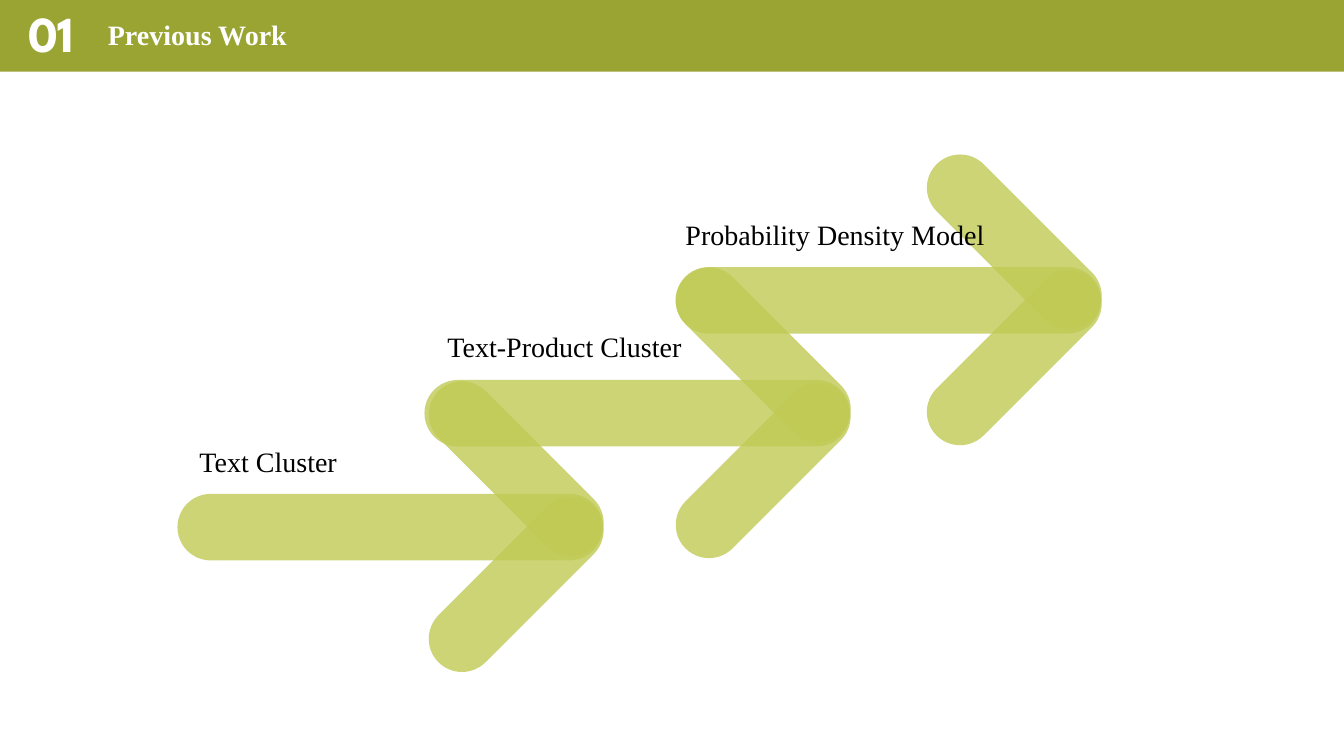
from dataclasses import dataclass

from lxml import etree
from pptx import Presentation
from pptx import util as u
from pptx.dml.color import RGBColor
from pptx.enum import shapes, text
from pptx.oxml import ns

OLIVE = RGBColor(0x9A, 0xA4, 0x33)
LIME = RGBColor(0xC0, 0xCA, 0x54)
WHITE = RGBColor(0xFF, 0xFF, 0xFF)
BLACK = RGBColor(0, 0, 0)
SERIF = "Times New Roman"
THICK = 0.66


@dataclass
class Box:
    left: float
    top: float
    width: float
    height: float

    def args(self) -> tuple:
        return tuple(u.Inches(v) for v in
                     (self.left, self.top, self.width, self.height))


@dataclass
class Step:
    label: str
    left: float
    top: float
    box: Box


STEPS = [
    Step("Text Cluster", 1.76, 4.9, Box(1.88, 4.26, 2.35, 0.53)),
    Step("Text-Product Cluster", 4.21, 3.77, Box(4.34, 3.12, 4.23, 0.53)),
    Step("Probability Density Model", 6.7, 2.65, Box(6.7, 2.01, 3.92, 0.53)),
]


def paint(shape, color: RGBColor) -> None:
    shape.shadow.inherit = False
    shape.fill.solid()
    shape.fill.fore_color.rgb = color
    shape.line.fill.background()


def write(shape, words: str, size: int, color: RGBColor, face: str = SERIF,
          bold: bool = False, space: float = 0.9,
          anchor=text.MSO_ANCHOR.TOP) -> None:
    frame = shape.text_frame
    frame.text = words
    frame.word_wrap = True
    frame.auto_size = text.MSO_AUTO_SIZE.NONE
    frame.vertical_anchor = anchor
    line = frame.paragraphs[0]
    line.alignment = text.PP_ALIGN.LEFT
    line.line_spacing = space
    line.space_before = u.Pt(0)
    font = line.runs[0].font
    font.name, font.size, font.bold = face, u.Pt(size), bold
    font.color.rgb = color


def draw_bar(group, box: Box, turn: int = 0) -> None:
    bar = group.shapes.add_shape(
        shapes.MSO_SHAPE.ROUNDED_RECTANGLE, *box.args())
    bar.adjustments[0] = 0.5
    bar.rotation = turn
    paint(bar, LIME)
    tint = bar._element.spPr.find(".//" + ns.qn("a:srgbClr"))
    etree.SubElement(tint, ns.qn("a:alpha"), val="80000")


def draw_step(slide, step: Step) -> None:
    group = slide.shapes.add_group_shape()
    draw_bar(group, Box(step.left, step.top, 4.22, THICK))
    for shift, turn in ((-0.58, 45), (0.57, 315)):
        draw_bar(group, Box(step.left + 2.27, step.top + shift, 2.18, THICK),
                 turn)


def draw_head(slide) -> None:
    band = slide.shapes.add_shape(
        shapes.MSO_SHAPE.RECTANGLE, *Box(0, 0, 13.33, 0.71).args())
    paint(band, OLIVE)
    slide.shapes._spTree.insert(2, band._element)
    title = slide.shapes.title
    title.left, title.top, title.width, title.height = Box(
        0.97, 0.16, 4.18, 0.4).args()
    write(title, "Previous Work", 20, WHITE, bold=True)
    mark = slide.shapes.add_textbox(*Box(0.18, 0.09, 0.79, 0.53).args())
    write(mark, "01", 36, WHITE, "League Spartan", True,
          anchor=text.MSO_ANCHOR.MIDDLE)


def main() -> None:
    deck = Presentation()
    deck.slide_width, deck.slide_height = u.Inches(13.33), u.Inches(7.5)
    slide = deck.slides.add_slide(deck.slide_layouts[5])
    draw_head(slide)
    for step in STEPS:
        draw_step(slide, step)
    for step in reversed(STEPS):
        label = slide.shapes.add_textbox(*step.box.args())
        write(label, step.label, 20, BLACK, space=1.3)
    deck.save("out.pptx")


if __name__ == "__main__":
    main()
